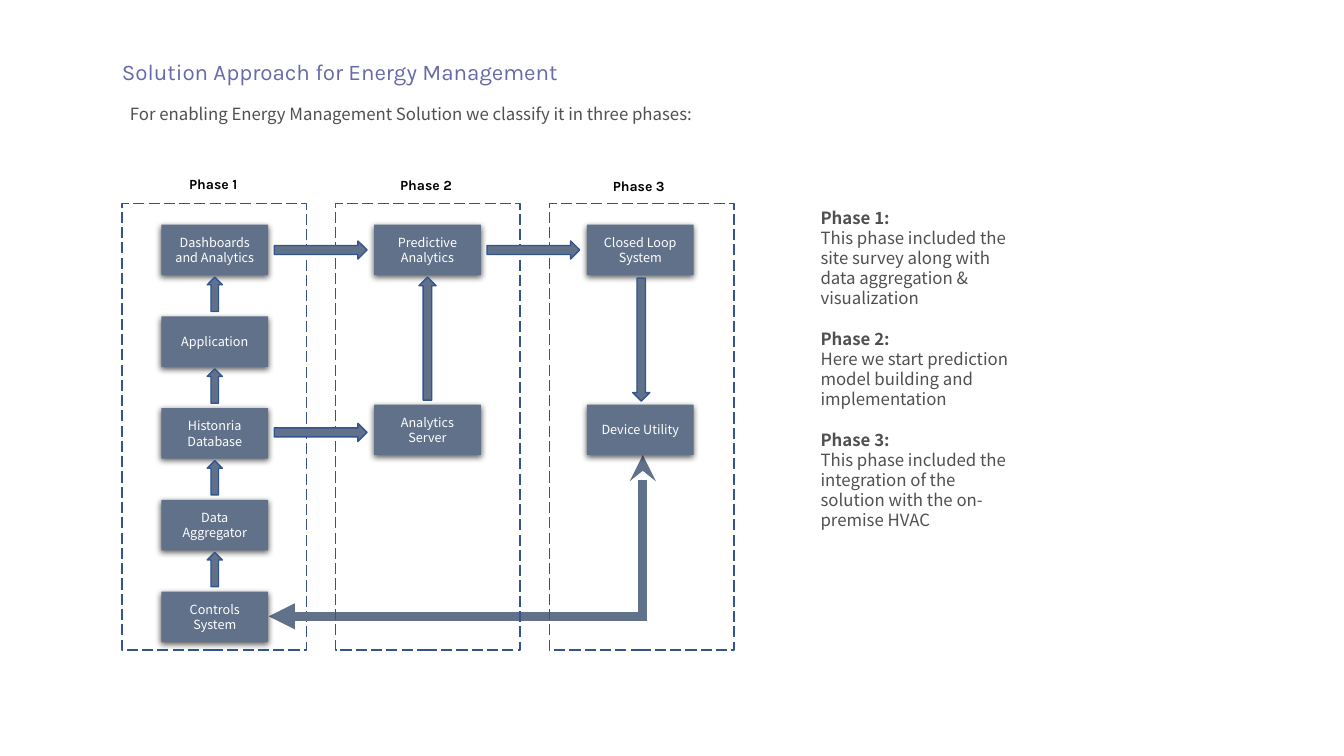
from lxml.etree import SubElement
from pptx import Presentation
from pptx.dml.color import RGBColor
from pptx.enum.dml import MSO_LINE
from pptx.enum.shapes import MSO_CONNECTOR, MSO_SHAPE
from pptx.enum.text import MSO_ANCHOR, MSO_AUTO_SIZE, PP_ALIGN
from pptx.oxml.ns import qn
from pptx.util import Inches, Pt

VIOLET = RGBColor(0x66, 0x6A, 0xA8)
GREY = RGBColor(0x50, 0x50, 0x50)
SLATE = RGBColor(0x60, 0x71, 0x89)
BLUE = RGBColor(0x32, 0x54, 0x91)
BLACK = RGBColor(0, 0, 0)
WHITE = RGBColor(255, 255, 255)
HEADING_FONT = "Karla"
BODY_FONT = "Noto Sans CJK SC"

NODE_LEFT, NODE_TOP = 1.6, 2.23
NODE_WIDTH, NODE_HEIGHT = 1.06, 0.5
COLUMN, ROW = 2.11, 0.91

deck = Presentation()
deck.slide_width, deck.slide_height = Inches(13.33), Inches(7.5)
page = deck.slides.add_slide(deck.slide_layouts[6])


def write(box, lines, size, color, font=BODY_FONT, align=PP_ALIGN.LEFT, bold=False, gap=0):
    """Fill a box; with a gap, every second line is a bold heading set apart by it."""
    frame = box.text_frame
    frame.word_wrap = True
    for index, line in enumerate(lines):
        para = frame.paragraphs[0] if index == 0 else frame.add_paragraph()
        para.alignment = align
        heading = gap > 0 and index % 2 == 0
        if heading and index > 0:
            para.space_before = Pt(gap)
        span = para.add_run()
        span.text = line
        span.font.name, span.font.size = font, Pt(size)
        span.font.color.rgb = color
        span.font.bold = bold or heading


def add_block(preset, left, top, width, height, fill=None, line=None):
    block = page.shapes.add_shape(preset, Inches(left), Inches(top), Inches(width), Inches(height))
    block.shadow.inherit = False
    if fill is None:
        block.fill.background()
    else:
        block.fill.solid()
        block.fill.fore_color.rgb = fill
    if line is None:
        block.line.fill.background()
    else:
        block.line.color.rgb = line
        block.line.width = Pt(1)
    return block


# Title, introduction and phase descriptions
title = page.shapes.add_textbox(Inches(1.21), Inches(0.58), Inches(5.81), Inches(0.42))
title_frame = title.text_frame
title_frame.margin_left = title_frame.margin_right = 0
title_frame.margin_top = title_frame.margin_bottom = 0
write(title, ["Solution Approach for Energy Management"], 16, VIOLET, font=HEADING_FONT)

intro = page.shapes.add_textbox(Inches(1.19), Inches(0.98), Inches(7.92), Inches(0.3))
write(intro, ["For enabling Energy Management Solution we classify it in three phases:"],
      12, GREY, align=PP_ALIGN.JUSTIFY)

details = page.shapes.add_textbox(Inches(8.04), Inches(2.01), Inches(2.14), Inches(3.33))
write(details, [
    "Phase 1:",
    "This phase included the site survey along with data aggregation & visualization",
    "Phase 2:",
    "Here we start prediction model building and implementation",
    "Phase 3:",
    "This phase included the integration of the solution with the on-premise HVAC",
], 12, GREY, gap=14.4)

# Dashed phase frames with their labels
frames = []
for phase in range(3):
    frame = add_block(MSO_SHAPE.RECTANGLE, 1.21 + 2.12 * phase, 2.02, 1.83, 4.43, line=BLUE)
    frame.line.dash_style = MSO_LINE.LONG_DASH
    frames.append(frame)
    label = page.shapes.add_textbox(Inches(1.51 + COLUMN * phase), Inches(1.69 + 0.01 * phase),
                                    Inches(1.21), Inches(0.36))
    label.text_frame.auto_size = MSO_AUTO_SIZE.SHAPE_TO_FIT_TEXT
    write(label, [f"Phase {phase + 1}"], 10, BLACK, font=HEADING_FONT,
          align=PP_ALIGN.CENTER, bold=True)

# Two-way link from Device Utility to Controls System, behind the later frames:
# an elbow with one bend, turned by 90 degrees
link = page.shapes.add_connector(MSO_CONNECTOR.ELBOW, Inches(3.72), Inches(3.46),
                                 Inches(5.32), Inches(7.17))
link.line.color.rgb = SLATE
link.line.width = Pt(6.25)
properties = link._element.spPr
properties.find(qn("a:xfrm")).set("rot", "5400000")
properties.find(qn("a:prstGeom")).set("prst", "bentConnector2")
outline = properties.find(qn("a:ln"))
SubElement(outline, qn("a:miter"), lim="800000")
SubElement(outline, qn("a:headEnd"), type="stealth")
SubElement(outline, qn("a:tailEnd"), type="triangle")
SubElement(properties, qn("a:effectLst"))
frames[1]._element.addprevious(link._element)

# System nodes: column, row, name
nodes = [
    (0, 0, "Dashboards and Analytics"),
    (0, 1, "Application"),
    (0, 2, "Histonria Database"),
    (0, 3, "Data Aggregator"),
    (0, 4, "Controls System"),
    (1, 0, "Predictive Analytics"),
    (1, 1.96, "Analytics Server"),
    (2, 0, "Closed Loop System"),
    (2, 1.96, "Device Utility"),
]
for column, row, name in nodes:
    node = add_block(MSO_SHAPE.RECTANGLE, NODE_LEFT + COLUMN * column, NODE_TOP + ROW * row,
                     NODE_WIDTH, NODE_HEIGHT, fill=SLATE)
    node.text_frame.vertical_anchor = MSO_ANCHOR.MIDDLE
    write(node, [name], 9, WHITE, align=PP_ALIGN.CENTER)
    effects = node._element.spPr.find(qn("a:effectLst"))
    shadow = SubElement(effects, qn("a:outerShdw"), blurRad=str(Pt(4.5)), dist=str(Pt(1.5)),
                        dir="5400000", rotWithShape="0")
    shade = SubElement(shadow, qn("a:srgbClr"), val=str(BLACK))
    SubElement(shade, qn("a:alpha"), val="63000")

# Block arrows: centre x, centre y, length, thickness, rotation
arrows = [(2.13, 2.92 + ROW * row, 0.34, 0.15, 270) for row in range(4)]
arrows += [
    (3.18, 2.48, 0.92, 0.18, 0),
    (5.29, 2.48, 0.92, 0.18, 0),
    (3.18, 4.29, 0.92, 0.18, 0),
    (4.24, 3.36, 1.22, 0.17, 270),
    (6.36, 3.37, 1.22, 0.17, 90),
]
for center_x, center_y, length, thickness, rotation in arrows:
    arrow = add_block(MSO_SHAPE.RIGHT_ARROW, center_x - length / 2, center_y - thickness / 2,
                      length, thickness, fill=SLATE, line=BLUE)
    arrow.rotation = rotation

deck.save("out.pptx")
